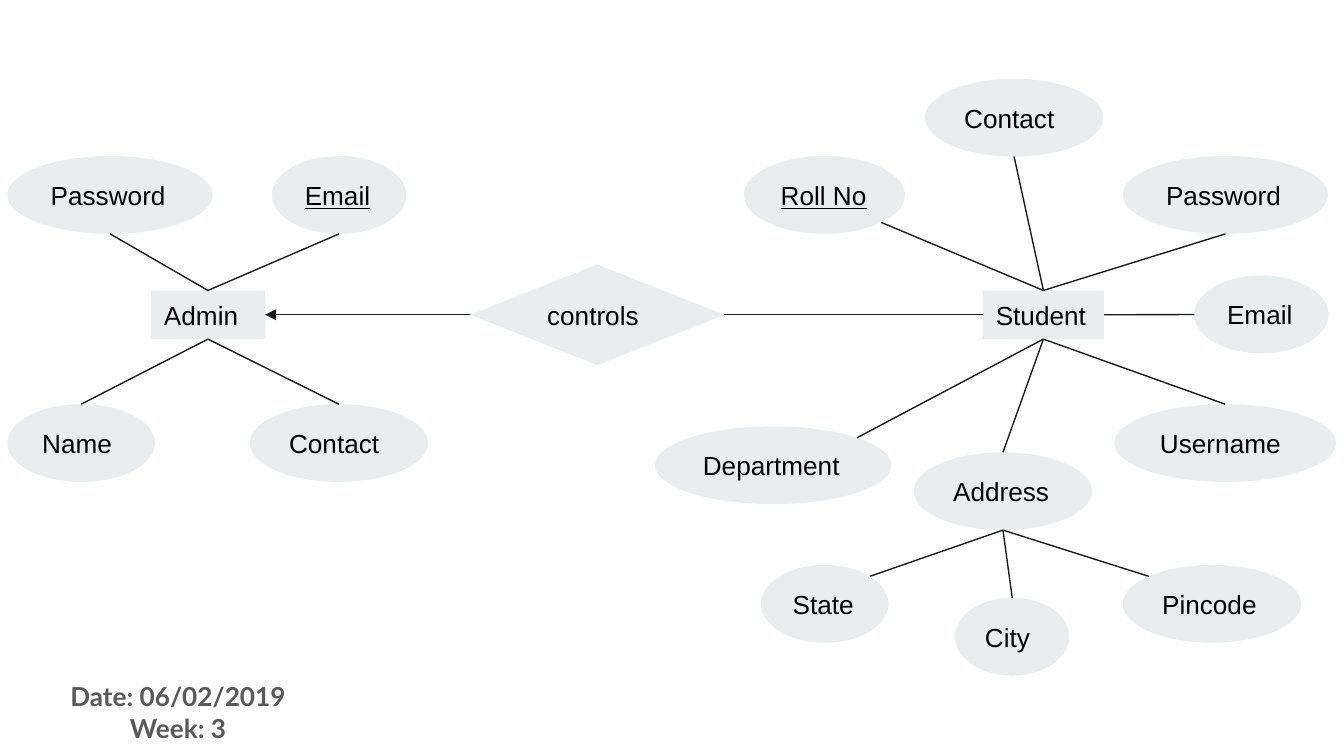
from math import sqrt

from lxml import etree
from pptx import Presentation
from pptx.dml.color import RGBColor
from pptx.enum.shapes import MSO_CONNECTOR, MSO_SHAPE
from pptx.enum.text import MSO_ANCHOR, PP_ALIGN
from pptx.oxml.ns import qn
from pptx.util import Cm, Pt

RECTANGLE = MSO_SHAPE.RECTANGLE
DIAMOND = MSO_SHAPE.DIAMOND
OVAL = MSO_SHAPE.OVAL
STRAIGHT = MSO_CONNECTOR.STRAIGHT
LEFT, CENTER = PP_ALIGN.LEFT, PP_ALIGN.CENTER
TOP_ANCHOR, MIDDLE_ANCHOR = MSO_ANCHOR.TOP, MSO_ANCHOR.MIDDLE

COLORS = {"node": "E9EDEE", "line": "1A1A1A", "text": "000000", "date": "595959"}
NODE_FONT = {"name": "Arial", "size": Pt(14)}
KEY_FONT = {**NODE_FONT, "underline": True}
DATE_FONT = {"name": "Lato", "size": Pt(14), "bold": True}
MARGIN = Cm(0.25)
OVAL_HEIGHT = 1.47
DIAGONAL = 1 / sqrt(2)
SIDE_TOP, SIDE_LEFT, SIDE_BOTTOM, SIDE_RIGHT = range(4)
OVAL_POINTS = {
    "top": (0, -1),
    "bottom": (0, 1),
    "left": (-1, 0),
    "top left": (-DIAGONAL, -DIAGONAL),
    "top right": (DIAGONAL, -DIAGONAL),
    "bottom right": (DIAGONAL, DIAGONAL),
}


def write_text(shape, lines, font_values, color, alignment, anchor):
    frame = shape.text_frame
    frame_values = {
        "word_wrap": True, "vertical_anchor": anchor,
        "margin_left": MARGIN, "margin_right": MARGIN,
        "margin_top": MARGIN, "margin_bottom": MARGIN,
    }
    for name, value in frame_values.items():
        setattr(frame, name, value)
    for index, line in enumerate(lines):
        paragraph = frame.add_paragraph() if index else frame.paragraphs[0]
        paragraph.alignment = alignment
        run = paragraph.add_run()
        run.text = line
        for name, value in font_values.items():
            setattr(run.font, name, value)
        run.font.color.rgb = RGBColor.from_string(COLORS[color])


def add_line(begin, begin_side, end, end_point):
    line = slide.shapes.add_connector(STRAIGHT, 0, 0, 0, 0)
    line.begin_connect(begin, begin_side)
    if end_point in OVAL_POINTS:
        across, down = OVAL_POINTS[end_point]
        line.end_x = round(end.left + end.width * (1 + across) / 2)
        line.end_y = round(end.top + end.height * (1 + down) / 2)
    else:
        line.end_connect(end, end_point)
    line.line.width = Pt(0.75)
    line.line.color.rgb = RGBColor.from_string(COLORS["line"])
    etree.SubElement(line._element.spPr, qn("a:effectLst"))
    return line


presentation = Presentation()
presentation.slide_width = Cm(25.4)
presentation.slide_height = Cm(14.29)
slide = presentation.slides.add_slide(presentation.slide_layouts[6])

nodes = [
    ("admin", "Admin", RECTANGLE, 2.85, 5.49, 2.16, 0.92),
    ("student", "Student", RECTANGLE, 18.57, 5.49, 2.3, 0.92),
    ("controls", "controls", DIAMOND, 8.89, 5, 4.8, 1.9),
]
attributes = [
    ("admin email", "Email", 5.14, 2.95, 2.54),
    ("admin password", "Password", 0.14, 2.95, 3.88),
    ("admin contact", "Contact", 4.72, 7.64, 3.37),
    ("admin name", "Name", 0.14, 7.64, 2.79),
    ("student contact", "Contact", 17.48, 1.49, 3.37),
    ("student address", "Address", 17.27, 8.55, 3.37),
    ("student password", "Password", 21.22, 2.95, 3.88),
    ("student roll", "Roll No", 14.06, 2.95, 3.04),
    ("student email", "Email", 22.57, 5.21, 2.54),
    ("student username", "Username", 21.06, 7.64, 4.19),
    ("student department", "Department", 12.38, 8.06, 4.47),
    ("address pincode", "Pincode", 21.22, 10.68, 3.37),
    ("address city", "City", 18.05, 11.3, 2.16),
    ("address state", "State", 14.38, 10.68, 2.41),
]
nodes += [(key, label, OVAL, left, top, width, OVAL_HEIGHT)
          for key, label, left, top, width in attributes]
key_attributes = {"admin email", "student roll"}

shapes = {}
for key, label, kind, *box in nodes:
    shape = slide.shapes.add_shape(kind, *(Cm(value) for value in box))
    shape.shadow.inherit = False
    shape.fill.solid()
    shape.fill.fore_color.rgb = RGBColor.from_string(COLORS["node"])
    shape.line.fill.background()
    font_values = KEY_FONT if key in key_attributes else NODE_FONT
    write_text(shape, [label], font_values, "text", LEFT, MIDDLE_ANCHOR)
    shapes[key] = shape

links = [
    ("admin", SIDE_TOP, "admin password", "bottom"),
    ("admin", SIDE_TOP, "admin email", "bottom"),
    ("admin", SIDE_BOTTOM, "admin contact", "top"),
    ("admin", SIDE_BOTTOM, "admin name", "top"),
    ("student", SIDE_TOP, "student roll", "bottom right"),
    ("student", SIDE_TOP, "student contact", "bottom"),
    ("student", SIDE_TOP, "student password", "bottom"),
    ("student", SIDE_RIGHT, "student email", "left"),
    ("student", SIDE_BOTTOM, "student username", "top"),
    ("student", SIDE_BOTTOM, "student address", "top"),
    ("student", SIDE_BOTTOM, "student department", "top right"),
    ("controls", SIDE_RIGHT, "student", SIDE_LEFT),
]
for begin, begin_side, end, end_point in links:
    add_line(shapes[begin], begin_side, shapes[end], end_point)

address = shapes["student address"]
for key, point in [("state", "top right"), ("city", "top"), ("pincode", "top left")]:
    line = add_line(shapes["student"], SIDE_BOTTOM, shapes[f"address {key}"], point)
    connection = line._element.find(".//" + qn("a:stCxn"))
    connection.getparent().remove(connection)
    line.begin_x = address.left + address.width // 2
    line.begin_y = address.top + address.height

arrow = add_line(shapes["controls"], SIDE_LEFT, shapes["admin"], SIDE_RIGHT)
etree.SubElement(arrow.line._get_or_add_ln(), qn("a:tailEnd"), type="triangle")

date_box = slide.shapes.add_textbox(Cm(0.14), Cm(12.62), Cm(6.45), Cm(1.67))
write_text(date_box, ["Date: 06/02/2019", "Week: 3"], DATE_FONT, "date", CENTER, TOP_ANCHOR)

presentation.save("out.pptx")
